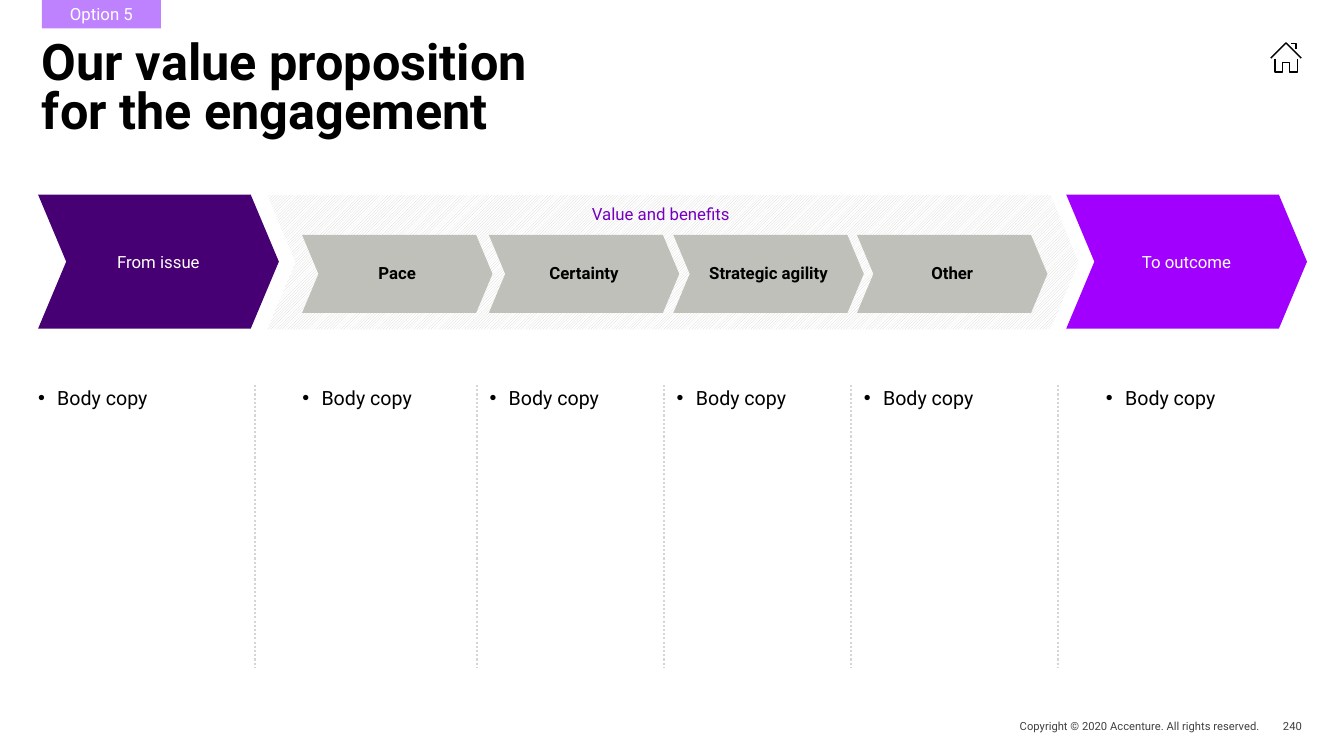
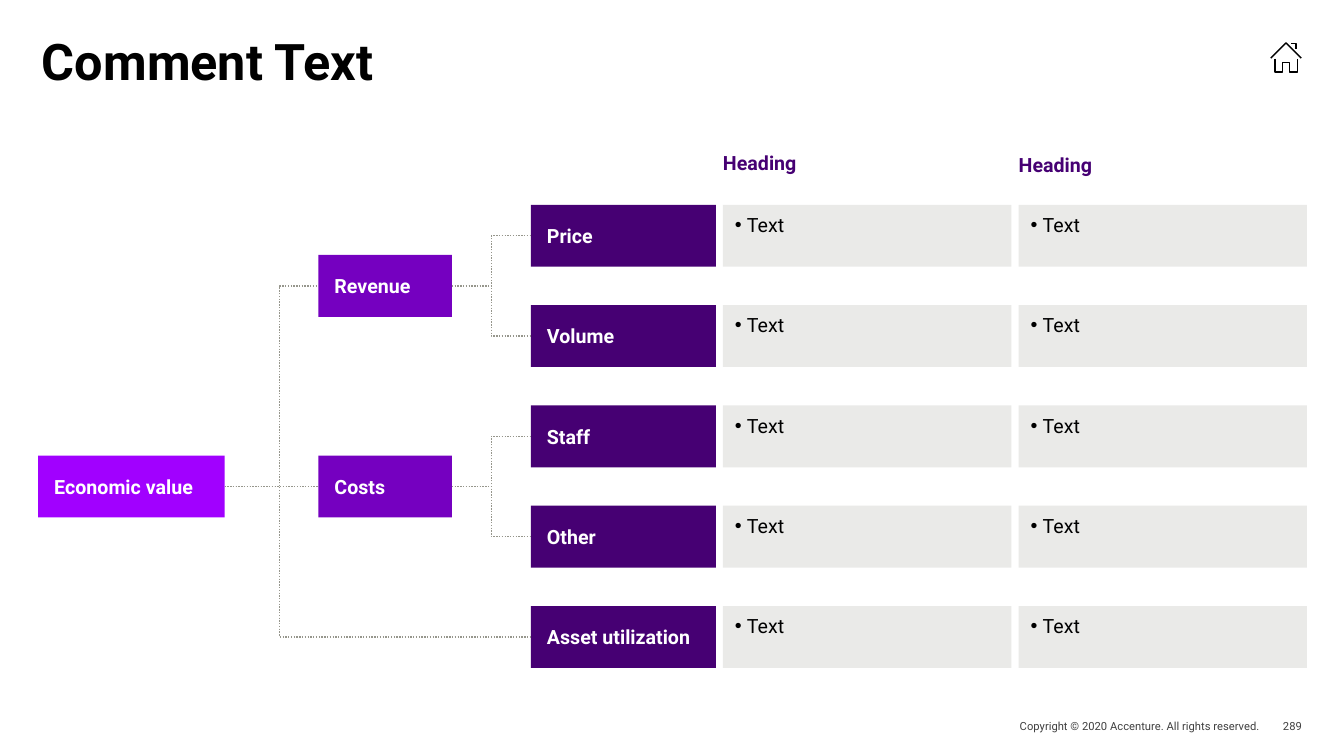
from pptx import Presentation
from pptx.dml.color import RGBColor as RGB
from pptx.enum.dml import MSO_LINE as DASH, MSO_PATTERN as HATCH
from pptx.enum.shapes import MSO_CONNECTOR as WIRE, MSO_SHAPE as SHAPE
from pptx.enum.text import MSO_ANCHOR as ANCHOR, MSO_AUTO_SIZE as FIT, PP_ALIGN as ALIGN
from pptx.oxml.ns import qn
from pptx.util import Pt
from lxml import etree

HUE = {
    "black": "000000", "white": "FFFFFF", "foot": "404040",
    "deep": "460073", "mid": "7500C0", "vivid": "A100FF", "pale": "BE82FF",
    "stone": "C0C0BA", "mist": "EAEAE8", "rule": "D5D5D1", "wire": "96968C",
}
FONT = "Roboto"


def box(page, at, hue=None, kind=SHAPE.RECTANGLE):
    """Add a filled shape, or a text box when no colour is given."""
    spot = [Pt(n) for n in at]
    if hue is None:
        return page.shapes.add_textbox(*spot)
    item = page.shapes.add_shape(kind, *spot)
    item.shadow.inherit = False
    item.line.fill.background()
    item.fill.solid()
    item.fill.fore_color.rgb = RGB.from_string(HUE[hue])
    if kind == SHAPE.CHEVRON:
        item.adjustments[0] = 0.21
    return item


def write(item, text, size, hue, bold=False, align=ALIGN.LEFT,
          anchor=ANCHOR.TOP, pad=(0, 0, 0, 0), gap=None, dent=0, wrap=True):
    """Fill an item with one paragraph; dent is the bullet's hanging indent."""
    frame = item.text_frame
    frame.auto_size = FIT.NONE
    frame.word_wrap = wrap
    frame.vertical_anchor = anchor
    (frame.margin_left, frame.margin_top,
     frame.margin_right, frame.margin_bottom) = [Pt(n) for n in pad]
    frame.text = text.replace("\n", "\v")
    para = frame.paragraphs[0]
    para.alignment = align
    if gap:
        para.line_spacing = gap
    if dent:
        props = para._p.get_or_add_pPr()
        props.set("marL", str(Pt(dent)))
        props.set("indent", str(-Pt(dent)))
        etree.SubElement(props, qn("a:buFont")).set("typeface", "Arial")
        etree.SubElement(props, qn("a:buChar")).set("char", "•")
    font = para.font
    font.name, font.size, font.bold = FONT, Pt(size), bold
    font.color.rgb = RGB.from_string(HUE[hue])


deck = Presentation()
deck.slide_width, deck.slide_height = Pt(960), Pt(540)
base = deck.slide_layouts[5]

# Shared parts: title, home icon, footer
ICON = [
    [(907.7, 41.6), (918.6, 30.7), (929.5, 41.6)],
    [(922.3, 31.3), (925.6, 31.3), (925.6, 34.9)],
    [(910.7, 42), (910.7, 51.4), (916.2, 51.4), (916.2, 44.6),
     (921.1, 44.6), (921.1, 51.4), (926.9, 51.4), (926.9, 42)],
]
pages = []
for title, number in [("Our value proposition\nfor the engagement", "240"),
                      ("Comment Text", "289")]:
    page = deck.slides.add_slide(base)
    pages.append(page)
    head = page.shapes.title
    head.left, head.top, head.width, head.height = Pt(30), Pt(30), Pt(900), Pt(78)
    write(head, title, 36, "black", bold=True, gap=0.8)

    pen = None
    for path in ICON:
        dots = [(Pt(x), Pt(y)) for x, y in path]
        if pen is None:
            pen = page.shapes.build_freeform(*dots[0])
        else:
            pen.move_to(*dots[0])
        pen.add_line_segments(dots[1:], close=False)
    home = pen.convert_to_shape()
    home.shadow.inherit = False
    home.fill.background()
    home.line.width = Pt(1)
    home.line.color.rgb = RGB.from_string(HUE["black"])

    for text, left, wide in [
            ("Copyright © 2020 Accenture. All rights reserved.", 655, 245),
            (number, 900, 30)]:
        write(box(page, (left, 510.5, wide, 16)), text, 8, "foot",
              align=ALIGN.RIGHT, anchor=ANCHOR.MIDDLE)

value, tree = pages
wires = []

# Value proposition: tag and large chevrons
write(box(value, (30, 0, 85, 20.2), "pale"), "Option 5", 12, "white",
      align=ALIGN.CENTER, pad=(3, 3, 3, 3))
band = box(value, (191, 139.4, 579.6, 95.8), "rule", SHAPE.CHEVRON)
band.fill.patterned()
band.fill.pattern = HATCH.DARK_UPWARD_DIAGONAL
band.fill.fore_color.rgb = RGB.from_string(HUE["rule"])
band.fill.back_color.rgb = RGB.from_string(HUE["white"])
for text, left, hue in [("From issue", 27.2, "deep"), ("To outcome", 761.6, "vivid")]:
    write(box(value, (left, 139, 172, 95.8), hue, SHAPE.CHEVRON), text, 12, "white",
          align=ALIGN.CENTER, anchor=ANCHOR.MIDDLE, pad=(9, 9, 9, 9))

# Value proposition: benefits
write(box(value, (409, 144.7, 126, 19)), "Value and benefits", 12, "mid",
      align=ALIGN.CENTER, pad=(7.2, 3.6, 7.2, 3.6), gap=0.8, wrap=False)
for text, left in [("Pace", 215.8), ("Certainty", 349.2),
                   ("Strategic agility", 481), ("Other", 612.2)]:
    write(box(value, (left, 167.8, 136, 55.7), "stone", SHAPE.CHEVRON), text, 12,
          "black", bold=True, align=ALIGN.CENTER, anchor=ANCHOR.MIDDLE,
          pad=(0, 3.6, 0, 3.6), gap=0.85)

# Value proposition: columns and dividers
STEP = 133.7
inner = [216 + STEP * i for i in range(4)]
for left in [27.2, *inner, 790]:
    write(box(value, (left, 275.8, 116, 201.6)), "Body copy", 14, "black", dent=13.7)
for x in [182.2, *(left - 9 for left in inner[1:]), 756]:
    rule = value.shapes.add_connector(WIRE.STRAIGHT, Pt(x), Pt(275), Pt(x), Pt(476.7))
    wires.append((rule, "rule", 1.5))

# Value tree: nodes, placed by row
TOP, PITCH, TALL = 146.3, 71.65, 44.2
LEVELS = [(27.2, 133.2, "vivid"), (227.4, 95.4, "mid"), (379.2, 132.2, "deep")]
nodes = {}
for text, level, row in [
        ("Economic value", 0, 2.5), ("Revenue", 1, 0.5), ("Costs", 1, 2.5),
        ("Price", 2, 0), ("Volume", 2, 1), ("Staff", 2, 2),
        ("Other", 2, 3), ("Asset utilization", 2, 4)]:
    left, wide, hue = LEVELS[level]
    node = box(tree, (left, TOP + PITCH * row, wide, TALL), hue)
    write(node, text, 14, "white", bold=True, anchor=ANCHOR.MIDDLE,
          pad=(11.5, 5.8, 5.8, 5.8))
    nodes[text] = node

# Value tree: branches, with root elbows sharing one bend
BEND = Pt(199.8)
for start, ends in [("Economic value", ["Revenue", "Costs", "Asset utilization"]),
                    ("Revenue", ["Price", "Volume"]),
                    ("Costs", ["Staff", "Other"])]:
    root = nodes[start]
    edge = root.left + root.width
    for end in ends:
        leaf = nodes[end]
        kind = WIRE.STRAIGHT if leaf.top == root.top else WIRE.ELBOW
        link = tree.shapes.add_connector(kind, 0, 0, 0, 0)
        link.begin_connect(root, 3)
        link.end_connect(leaf, 1)
        if start == "Economic value" and kind == WIRE.ELBOW:
            share = round(100000 * (BEND - edge) / (leaf.left - edge))
            guides = link._element.spPr.find(qn("a:prstGeom")).get_or_add_avLst()
            guide = etree.SubElement(guides, qn("a:gd"))
            guide.set("name", "adj1")
            guide.set("fmla", f"val {share}")
        wires.append((link, "wire", 1))

# Value tree: headed columns of cells
for left, top in [(516.4, 107.3), (727.6, 108.5)]:
    write(box(tree, (left, top, 206, 17.3)), "Heading", 14, "deep", bold=True,
          anchor=ANCHOR.BOTTOM)
    for row in range(5):
        write(box(tree, (left, TOP + PITCH * row, 206, TALL), "mist"), "Text", 14,
              "black", pad=(8.6, 5.8, 0, 0), dent=8.6)

# Dotted style for all lines
for wire, hue, width in wires:
    wire.line.color.rgb = RGB.from_string(HUE[hue])
    wire.line.width = Pt(width)
    wire.line.dash_style = DASH.ROUND_DOT
    etree.SubElement(wire._element.spPr, qn("a:effectLst"))

deck.save("out.pptx")
